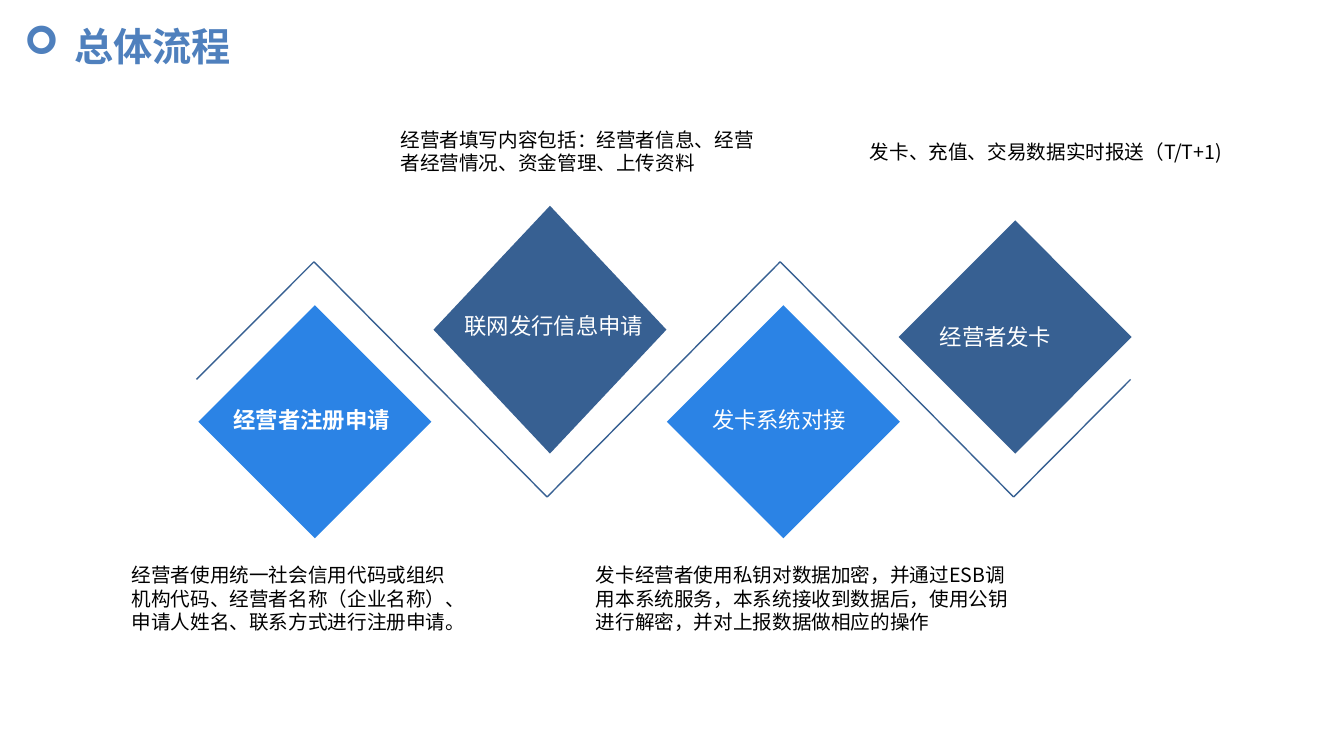
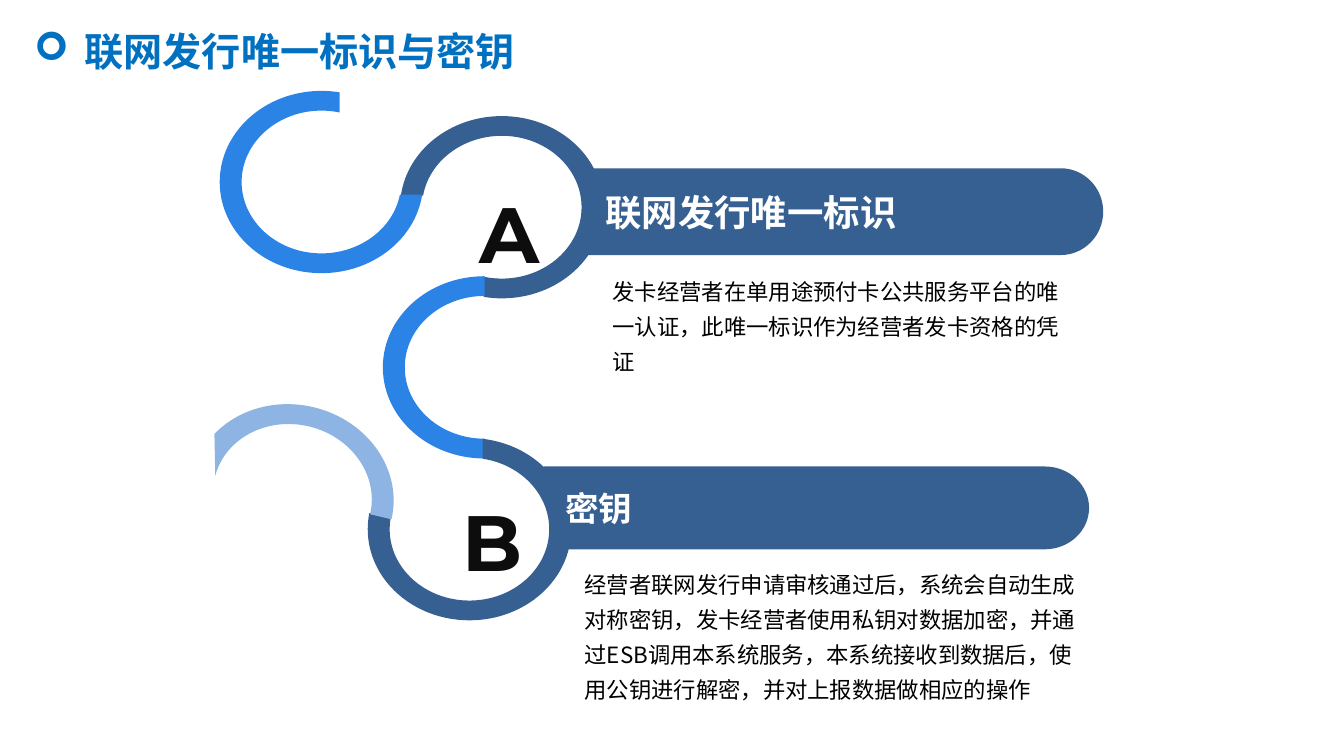
"""Build two slides on the card issuing process, its identifier and its key."""

from math import cos, radians, sin, tan

from lxml.etree import SubElement
from pptx import Presentation
from pptx.dml.color import RGBColor
from pptx.enum.shapes import MSO_CONNECTOR, MSO_SHAPE
from pptx.enum.text import MSO_ANCHOR, MSO_AUTO_SIZE, PP_ALIGN
from pptx.oxml.ns import qn
from pptx.util import Pt

NAVY = RGBColor(0x37, 0x60, 0x92)
BLUE = RGBColor(0x2B, 0x83, 0xE5)
LIGHT_BLUE = RGBColor(0x8E, 0xB4, 0xE3)
TITLE_STEEL = RGBColor(0x4F, 0x80, 0xBD)
TITLE_BLUE = RGBColor(0x00, 0x70, 0xC0)
INK = RGBColor(0x0D, 0x0D, 0x0D)
BLACK = RGBColor(0x00, 0x00, 0x00)
WHITE = RGBColor(0xFF, 0xFF, 0xFF)
BODY_FONT = "Noto Sans CJK SC"
LETTER_FONT = "Montserrat"
OUTER_RADII = (72.7, 65.1)
INNER_RADII = (57, 51)


def add_run(paragraph, text, size, color, bold=False, font=BODY_FONT):
    run = paragraph.add_run()
    run.text = text
    run.font.size = Pt(size)
    run.font.bold = bold
    run.font.color.rgb = color
    run.font.name = font
    SubElement(run.font._element, qn("a:ea"), typeface=font)


def arc_segments(center, radii, start, end, tilt=0):
    low, high = min(start, end), max(start, end)
    quadrants = [angle for angle in range(-90, 541, 90) if low < angle < high]
    angles = [low] + quadrants + [high]
    if end < start:
        angles.reverse()
    unit_segments = [[(cos(radians(start)), sin(radians(start)))]]
    for first, last in zip(angles, angles[1:]):
        first, last = radians(first), radians(last)
        reach = 4 / 3 * tan((last - first) / 4)
        unit_segments.append([
            (cos(first) - reach * sin(first), sin(first) + reach * cos(first)),
            (cos(last) + reach * sin(last), sin(last) - reach * cos(last)),
            (cos(last), sin(last)),
        ])
    tilt_cos, tilt_sin = cos(radians(tilt)), sin(radians(tilt))
    return [[(center[0] + x * radii[0] * tilt_cos - y * radii[1] * tilt_sin,
              center[1] + x * radii[0] * tilt_sin + y * radii[1] * tilt_cos)
             for x, y in segment] for segment in unit_segments]


presentation = Presentation()
presentation.slide_width = Pt(960.5)
presentation.slide_height = Pt(540)

titles = [
    ("总体流程", TITLE_STEEL, 10, 12.2, 266),
    ("联网发行唯一标识与密钥", TITLE_BLUE, 17.2, 15.8, 441),
]
slides = []
for text, color, left, top, width in titles:
    slide = presentation.slides.add_slide(presentation.slide_layouts[5])
    title = slide.shapes.title
    title.left, title.top, title.width, title.height = Pt(left), Pt(top), Pt(width), Pt(41)
    frame = title.text_frame
    frame.auto_size = MSO_AUTO_SIZE.NONE
    frame.vertical_anchor = MSO_ANCHOR.TOP
    paragraph = frame.paragraphs[0]
    paragraph.alignment = PP_ALIGN.LEFT
    properties = paragraph._p.get_or_add_pPr()
    properties.set("marL", str(Pt(36)))
    properties.set("indent", str(-Pt(36)))
    SubElement(properties, qn("a:buFont"), typeface="Wingdings", charset="2")
    SubElement(properties, qn("a:buChar"), char="➢")
    add_run(paragraph, text, 28, color, bold=True)
    slides.append(slide)
process_slide, key_slide = slides

zigzag = [(140.4, 271), (224.4, 187), (391, 355), (557.6, 187), (724.4, 355), (808, 271)]
for (begin_x, begin_y), (end_x, end_y) in zip(zigzag, zigzag[1:]):
    connector = process_slide.shapes.add_connector(
        MSO_CONNECTOR.STRAIGHT, Pt(begin_x), Pt(begin_y), Pt(end_x), Pt(end_y))
    connector.line.color.rgb = NAVY
    connector.line.width = Pt(1)
    SubElement(connector._element.spPr, qn("a:effectLst"))

diamonds = [
    (BLUE, 141.8, 218, 166.5),
    (NAVY, 309.8, 147, 177),
    (BLUE, 476.6, 218, 166.5),
    (NAVY, 642.3, 157.5, 166.5),
]
for color, left, top, height in diamonds:
    diamond = process_slide.shapes.add_shape(
        MSO_SHAPE.DIAMOND, Pt(left), Pt(top), Pt(166.5), Pt(height))
    diamond.shadow.inherit = False
    diamond.fill.solid()
    diamond.fill.fore_color.rgb = color
    diamond.line.fill.background()

labels = [
    ("经营者注册申请", 159.8, 286.6, 134, 7.2, True, BLUE),
    ("联网发行信息申请", 324.9, 219.6, 144, 7.2, False, None),
    ("发卡系统对接", 501.8, 286.6, 110, 7.2, False, BLUE),
    ("经营者发卡", 653.8, 227.5, 143.3, 17.8, False, None),
]
for text, left, top, width, margin, bold, color in labels:
    box = (Pt(left), Pt(top), Pt(width), Pt(26.6))
    if color:
        label = process_slide.shapes.add_shape(MSO_SHAPE.RECTANGLE, *box)
        label.shadow.inherit = False
        label.fill.solid()
        label.fill.fore_color.rgb = color
        label.line.fill.background()
    else:
        label = process_slide.shapes.add_textbox(*box)
    frame = label.text_frame
    frame.word_wrap = True
    frame.vertical_anchor = MSO_ANCHOR.TOP
    frame.margin_left, frame.margin_right = Pt(margin), 0
    paragraph = frame.paragraphs[0]
    paragraph.alignment = PP_ALIGN.LEFT
    add_run(paragraph, text, 16, WHITE, bold)

rings = [
    (NAVY, (358.6, 148), (187.3, 460.3), (189.3, 463.2), 0),
    (BLUE, (346.3, 262.4), (90, 270), (90, 270), 0),
    (NAVY, (335.5, 378), (-82.6, 190.2), (-80.5, 193), 0),
    (BLUE, (229.7, 130), (7.9, 280.3), (10.1, 283.2), 0),
    (LIGHT_BLUE, (209, 354.2), (207.6, 360), (181.5, 360), 13.3),
]
outlines = []
for color, center, outer_angles, inner_angles, tilt in rings:
    outer = arc_segments(center, OUTER_RADII, *outer_angles, tilt)
    inner = arc_segments(center, INNER_RADII, *inner_angles[::-1], tilt)
    outlines.append((color, outer + inner, None, 0))

bars = [
    ("联网发行唯一标识", 26, 417.6, 417.6, 788.4, 120.2, 182.2, 30.4),
    ("密钥", 24, 388.8, 396, 778.3, 333.2, 392.4, 31.7),
]
for text, size, top_left, bottom_left, right, top, bottom, cap in bars:
    radius = (bottom - top) / 2
    rounded_end = arc_segments((right - cap, top + radius), (cap, radius), -90, 90)
    outline = [[(top_left, top)]] + rounded_end + [[(bottom_left, bottom)]]
    outlines.append((NAVY, outline, text, size))

for color, outline, text, size in outlines:
    corners = [(Pt(x), Pt(y)) for segment in outline for x, y in segment]
    builder = key_slide.shapes.build_freeform(*corners[0])
    builder.add_line_segments(corners[1:], close=True)
    shape = builder.convert_to_shape()
    lines = iter(list(shape._element.iter(qn("a:lnTo"))))
    for segment in outline[1:]:
        curve, *others = [next(lines) for point in segment]
        if others:
            curve.tag = qn("a:cubicBezTo")
        for line in others:
            line.getparent().remove(line)
            curve.append(line[0])
    shape.shadow.inherit = False
    shape.fill.solid()
    shape.fill.fore_color.rgb = color
    shape.line.fill.background()
    if text:
        frame = shape.text_frame
        frame.word_wrap = True
        frame.vertical_anchor = MSO_ANCHOR.MIDDLE
        frame.margin_left = Pt(15)
        paragraph = frame.paragraphs[0]
        paragraph.alignment = PP_ALIGN.LEFT
        add_run(paragraph, text, size, WHITE, bold=True)

letters = [("A", 333.4, 127.4), ("B", 320.8, 347.8)]
for text, left, top in letters:
    letter = key_slide.shapes.add_textbox(Pt(left), Pt(top), Pt(66), Pt(77))
    frame = letter.text_frame
    frame.word_wrap = True
    frame.margin_left = frame.margin_right = Pt(9.4)
    frame.margin_top = frame.margin_bottom = Pt(4.5)
    add_run(frame.paragraphs[0], text, 56, INK, bold=True, font=LETTER_FONT)

notes = [
    (process_slide, 84.6, 397.4, 254.2, 60.5, 14, 1, 5,
     "经营者使用统一社会信用代码或组织机构代码、经营者名称（企业名称）、申请人姓名、联系方式进行注册申请。"),
    (process_slide, 276.8, 86.2, 273.6, 43.2, 14, 1, 5,
     "经营者填写内容包括：经营者信息、经营者经营情况、资金管理、上传资料"),
    (process_slide, 416.4, 397.4, 320.4, 60.5, 14, 1, 5,
     "发卡经营者使用私钥对数据加密，并通过ESB调用本系统服务，本系统接收到数据后，使用公钥进行解密，并对上报数据做相应的操作"),
    (process_slide, 612.2, 95, 287.3, 26.6, 14, 1, 5,
     "发卡、充值、交易数据实时报送（T/T+1)"),
    (key_slide, 428.4, 188.4, 340.6, 85, 16, 1.3, 4.5,
     "发卡经营者在单用途预付卡公共服务平台的唯一认证，此唯一标识作为经营者发卡资格的凭证"),
    (key_slide, 408.4, 397.7, 380.2, 110.2, 16, 1.3, 4.5,
     "经营者联网发行申请审核通过后，系统会自动生成对称密钥，发卡经营者使用私钥对数据加密，并通过ESB调用本系统服务，"
     "本系统接收到数据后，使用公钥进行解密，并对上报数据做相应的操作"),
]
for slide, left, top, width, height, size, spacing, margin, text in notes:
    note = slide.shapes.add_textbox(Pt(left), Pt(top), Pt(width), Pt(height))
    frame = note.text_frame
    frame.word_wrap = True
    frame.margin_left = frame.margin_right = Pt(9.4)
    frame.margin_top = frame.margin_bottom = Pt(margin)
    paragraph = frame.paragraphs[0]
    paragraph.line_spacing = spacing
    add_run(paragraph, text, size, BLACK)

presentation.save("out.pptx")
